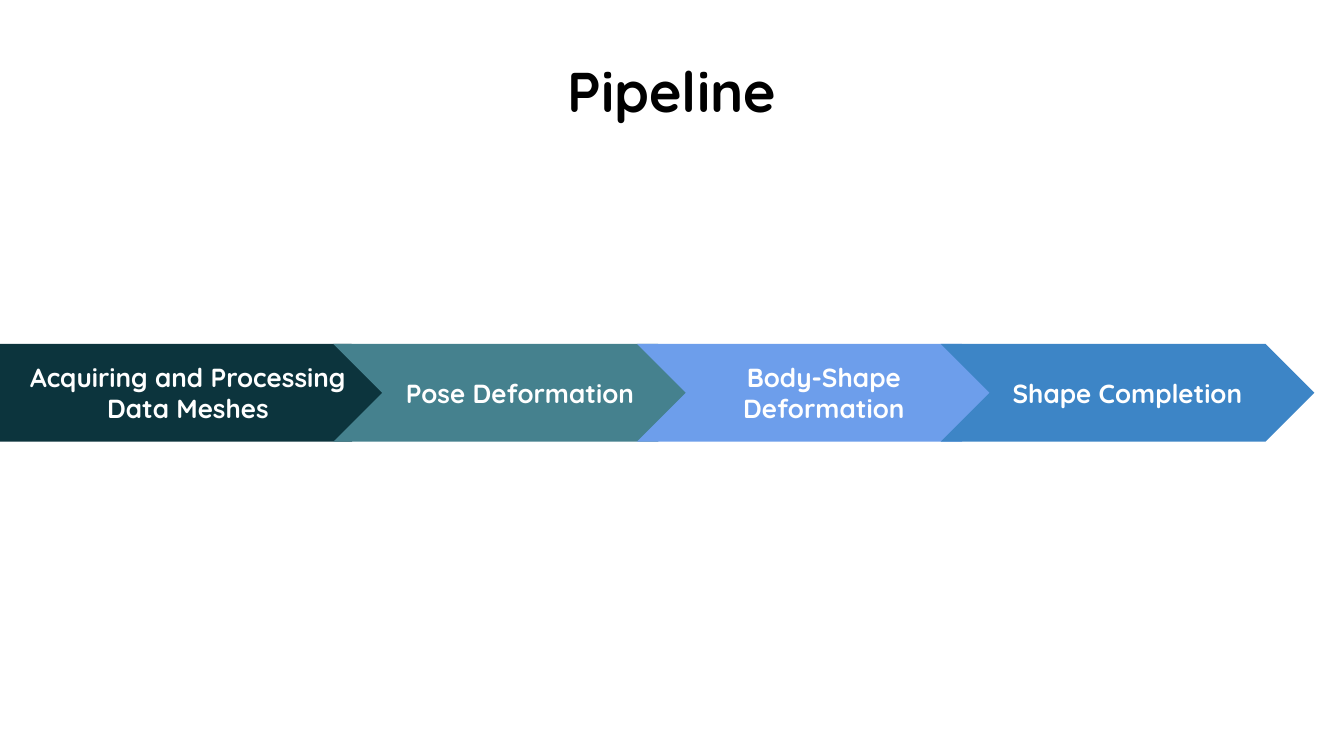
from dataclasses import dataclass

from pptx import Presentation
from pptx.dml.color import RGBColor
from pptx.enum.shapes import MSO_SHAPE as Shape
from pptx.enum.text import MSO_ANCHOR as Anchor, MSO_AUTO_SIZE as AutoSize, PP_ALIGN as Align
from pptx.util import Cm, Pt

FONT = "Quicksand"
BLACK = RGBColor(0x00, 0x00, 0x00)
WHITE = RGBColor(0xFF, 0xFF, 0xFF)
DARK_TEAL = RGBColor(0x0C, 0x34, 0x3D)
TEAL = RGBColor(0x45, 0x81, 0x8E)
LIGHT_BLUE = RGBColor(0x6D, 0x9E, 0xEB)
BLUE = RGBColor(0x3D, 0x85, 0xC6)

# Arrow band, in centimetres
BAND_TOP, BAND_HEIGHT = 6.5, 1.85
START_WIDTH = 7.57
CHEVRON_LEFT, CHEVRON_WIDTH, CHEVRON_STEP = 6.3, 7.06, 5.74
INSET = Cm(0.25)


@dataclass
class Stage:
    label: str
    color: RGBColor


STAGES = [
    Stage("Acquiring and Processing Data Meshes", DARK_TEAL),
    Stage("Pose Deformation", TEAL),
    Stage("Body-Shape Deformation", LIGHT_BLUE),
    Stage("Shape Completion", BLUE),
]


def write(sp, text: str, size: int, color: RGBColor) -> None:
    """Put one bold, centred paragraph in a shape."""
    tf = sp.text_frame
    tf.word_wrap = True
    tf.auto_size = AutoSize.NONE
    tf.vertical_anchor = Anchor.MIDDLE
    tf.margin_left = tf.margin_right = tf.margin_top = tf.margin_bottom = INSET
    p = tf.paragraphs[0]
    p.text = text
    p.alignment = Align.CENTER
    p.font.name = FONT
    p.font.size = Pt(size)
    p.font.bold = True
    p.font.color.rgb = color


def draw_stage(s, index: int, stage: Stage) -> None:
    """Draw one step: a pentagon first, then evenly spaced chevrons."""
    if index == 0:
        kind, left, width = Shape.PENTAGON, 0, START_WIDTH
    else:
        kind, width = Shape.CHEVRON, CHEVRON_WIDTH
        left = CHEVRON_LEFT + (index - 1) * CHEVRON_STEP
    sp = s.shapes.add_shape(kind, Cm(left), Cm(BAND_TOP), Cm(width), Cm(BAND_HEIGHT))
    sp.shadow.inherit = False
    sp.fill.solid()
    sp.fill.fore_color.rgb = stage.color
    sp.line.fill.background()
    write(sp, stage.label, 14, WHITE)


def main() -> None:
    prs = Presentation()
    prs.slide_width, prs.slide_height = Cm(25.4), Cm(14.29)
    s = prs.slides.add_slide(prs.slide_layouts.get_by_name("Title Only"))

    # Title
    title = s.shapes.title
    title.left, title.top = Cm(0.56), Cm(0.79)
    title.width, title.height = Cm(24.28), Cm(1.83)
    write(title, "Pipeline", 30, BLACK)

    # Pipeline stages
    for index, stage in enumerate(STAGES):
        draw_stage(s, index, stage)

    prs.save("out.pptx")


if __name__ == "__main__":
    main()
